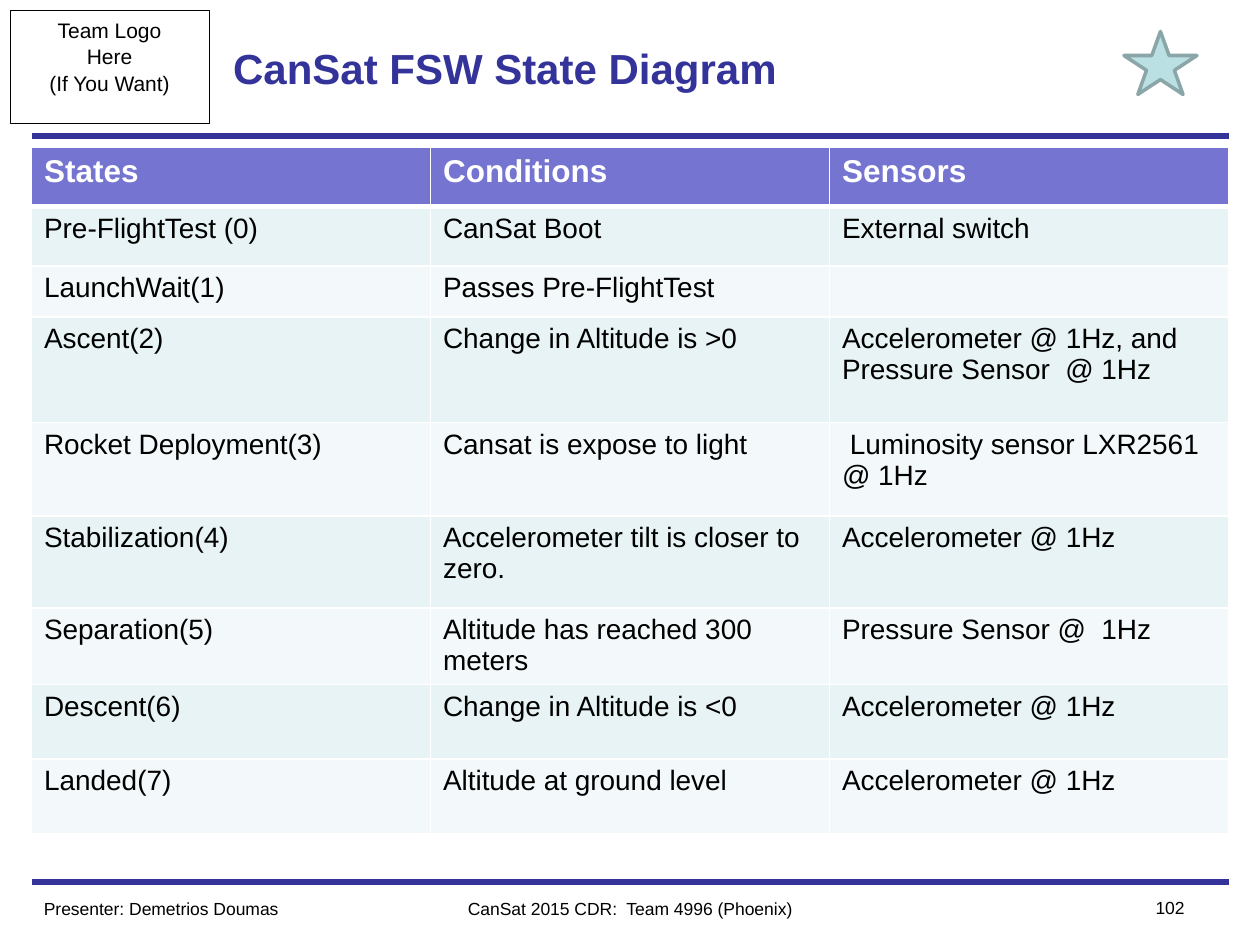
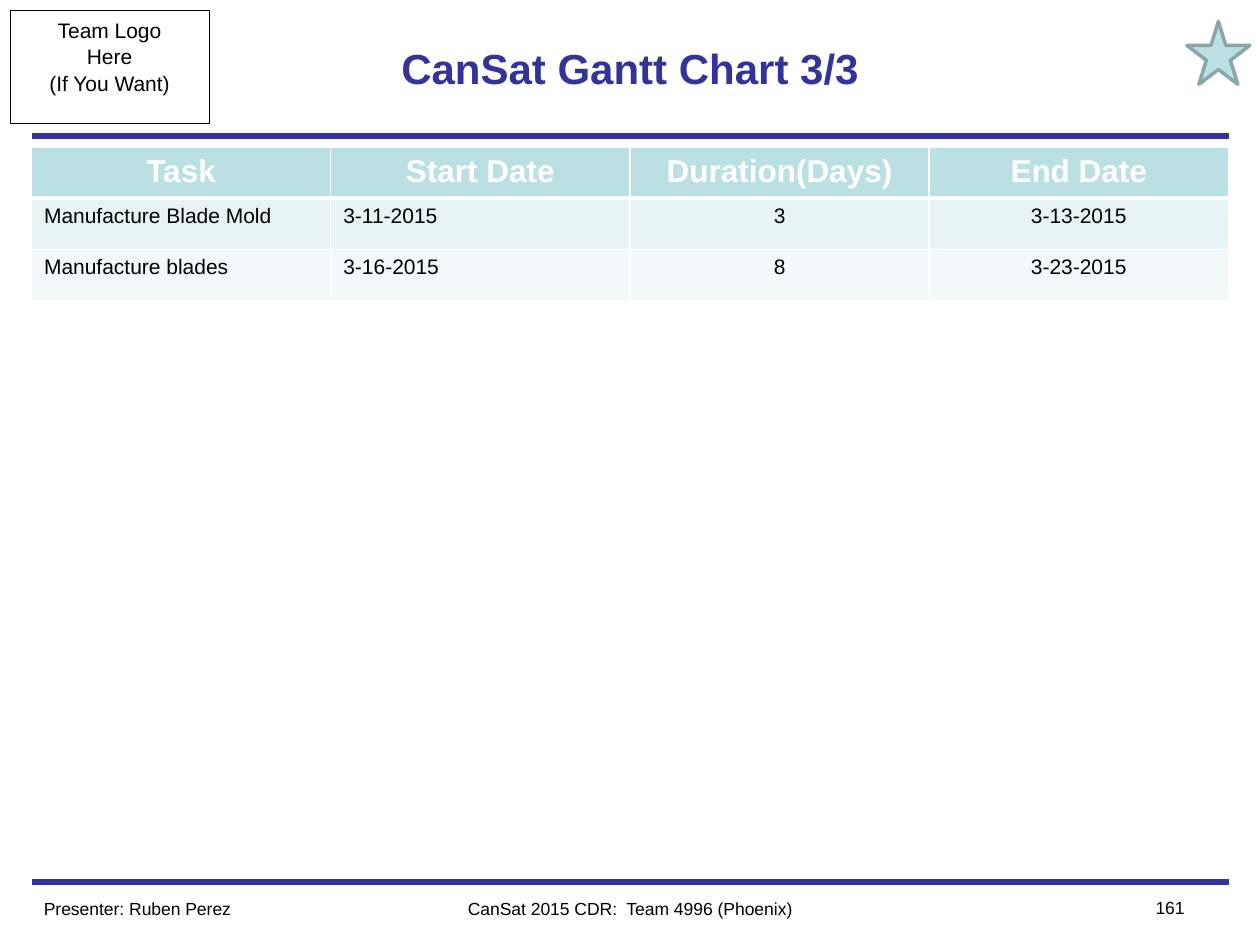
from dataclasses import dataclass
from lxml import etree
from pptx import Presentation
from pptx.dml.color import RGBColor
from pptx.enum.shapes import MSO_CONNECTOR as CONN, MSO_SHAPE as SHAPE
from pptx.enum.text import MSO_ANCHOR as ANCHOR, MSO_AUTO_SIZE as AUTO, PP_ALIGN as AL
from pptx.oxml.ns import qn
from pptx.util import Inches, Pt


@dataclass(frozen=True)
class Theme:
    font: str = "Arial"
    navy: str = "333399"
    violet: str = "7575D1"
    aqua: str = "BBE0E3"
    aqua_edge: str = "8AA6A8"
    bands: tuple = ("E7F3F4", "F3F9FA")
    black: str = "000000"
    white: str = "FFFFFF"
    title: int = 24
    head: int = 18
    body: int = 16
    small: int = 12
    footer: int = 10


LEFT, RIGHT = 0.25, 9.75
TABLE_TOP = 1.17


class Deck:
    def __init__(self, theme):
        self.t = theme
        self.prs = Presentation()
        self.prs.slide_width, self.prs.slide_height = Inches(10), Inches(7.5)
        self.s = None

    def fill_text(self, tf, text, size, color=None, bold=False, align=AL.LEFT,
                  anchor=ANCHOR.TOP, spacing=None):
        frame_format = {"word_wrap": True, "auto_size": AUTO.NONE, "vertical_anchor": anchor}
        for name, value in frame_format.items():
            setattr(tf, name, value)
        font_format = {"name": self.t.font, "size": Pt(size), "bold": bold}
        for i, line in enumerate(text.split("\n")):
            p = tf.paragraphs[0] if i == 0 else tf.add_paragraph()
            p.alignment = align
            if spacing:
                p.line_spacing = spacing
            r = p.add_run()
            r.text = line
            for name, value in font_format.items():
                setattr(r.font, name, value)
            r.font.color.rgb = RGBColor.from_string(color or self.t.black)

    def text(self, box, text, size, **kw):
        tb = self.s.shapes.add_textbox(*map(Inches, box))
        self.fill_text(tb.text_frame, text, size, **kw)

    def shape(self, kind, box, fill, line, width):
        sp = self.s.shapes.add_shape(kind, *map(Inches, box))
        sp.shadow.inherit = False
        if fill:
            sp.fill.solid()
            sp.fill.fore_color.rgb = RGBColor.from_string(fill)
        else:
            sp.fill.background()
        sp.line.color.rgb = RGBColor.from_string(line)
        sp.line.width = Pt(width)
        return sp

    def rule(self, y):
        ends = map(Inches, (LEFT, y, RIGHT, y))
        cx = self.s.shapes.add_connector(CONN.STRAIGHT, *ends)
        cx.line.color.rgb = RGBColor.from_string(self.t.navy)
        cx.line.width = Pt(3)
        etree.SubElement(cx._element.spPr, qn("a:effectLst"))

    def star(self, box):
        self.shape(SHAPE.STAR_5_POINT, box, self.t.aqua, self.t.aqua_edge, 2)

    def slide(self, title, presenter, number, title_align=AL.LEFT):
        t = self.t
        self.s = self.prs.slides.add_slide(self.prs.slide_layouts[5])
        for y in (7, 1.08):
            self.rule(y)
        logo = self.shape(SHAPE.RECTANGLE, (0.08, 0.08, 1.58, 0.9), None, t.black, 0.5)
        self.fill_text(logo.text_frame, "Team Logo\nHere\n(If You Want)", t.small,
                       align=AL.CENTER, spacing=1.05)
        ph = self.s.shapes.title
        place = {"left": 1.75, "top": 0.08, "width": 6.5, "height": 0.92}
        for name, value in place.items():
            setattr(ph, name, Inches(value))
        self.fill_text(ph.text_frame, title, t.title, t.navy, True, title_align, ANCHOR.MIDDLE)
        footers = (
            ((LEFT, 7.08, 2.5, 0.27), f"Presenter: {presenter}", AL.LEFT),
            ((3, 7.08, 4, 0.27), "CanSat 2015 CDR:  Team 4996 (Phoenix)", AL.CENTER),
            ((8.75, 7.07, 0.75, 0.27), str(number), AL.RIGHT),
        )
        for box, text, align in footers:
            self.text(box, text, t.footer, align=align)

    def borders(self, cell, top, bottom):
        tc_pr = cell._tc.get_or_add_tcPr()
        widths = {"lnL": 1, "lnR": 1, "lnT": top, "lnB": bottom}
        for i, (side, width) in enumerate(widths.items()):
            ln = etree.Element(qn(f"a:{side}"), w=str(int(Pt(width))))
            fill = etree.SubElement(ln, qn("a:solidFill"))
            etree.SubElement(fill, qn("a:srgbClr"), val=self.t.white)
            tc_pr.insert(i, ln)

    def table(self, rows, heights, head_fill, body_size, head_align, body_aligns):
        t = self.t
        n_cols = len(rows[0])
        box = (LEFT, TABLE_TOP, RIGHT - LEFT, sum(heights))
        tbl = self.s.shapes.add_table(len(rows), n_cols, *map(Inches, box)).table
        tbl.first_row = tbl.horz_banding = False
        for col in tbl.columns:
            col.width = Inches((RIGHT - LEFT) / n_cols)
        for i, (row, height) in enumerate(zip(rows, heights)):
            tbl.rows[i].height = Inches(height)
            head = i == 0
            for j, value in enumerate(row):
                cell = tbl.cell(i, j)
                cell.fill.solid()
                fill = head_fill if head else t.bands[(i - 1) % 2]
                cell.fill.fore_color.rgb = RGBColor.from_string(fill)
                self.borders(cell, 3 if i == 1 else 1, 3 if head else 1)
                if value:
                    self.fill_text(cell.text_frame, value, t.head if head else body_size,
                                   t.white if head else t.black, head,
                                   head_align if head else body_aligns[j])


STATES = (
    ("States", "Conditions", "Sensors"),
    ("Pre-FlightTest (0)", "CanSat Boot", "External switch"),
    ("LaunchWait(1)", "Passes Pre-FlightTest", ""),
    ("Ascent(2)", "Change in Altitude is >0", "Accelerometer @ 1Hz, and Pressure Sensor  @ 1Hz"),
    ("Rocket Deployment(3)", "Cansat is expose to light", " Luminosity sensor LXR2561\n@ 1Hz"),
    ("Stabilization(4)", "Accelerometer tilt is closer to zero.", "Accelerometer @ 1Hz"),
    ("Separation(5)", "Altitude has reached 300 meters", "Pressure Sensor @  1Hz"),
    ("Descent(6)", "Change in Altitude is <0", "Accelerometer @ 1Hz"),
    ("Landed(7)", "Altitude at ground level", "Accelerometer @ 1Hz"),
)
STATE_HEIGHTS = (0.47, 0.47, 0.39, 0.84, 0.74, 0.73, 0.61, 0.59, 0.59)

TASKS = (
    ("Task", "Start Date", "Duration(Days)", "End Date"),
    ("Manufacture Blade Mold", "3-11-2015", "3", "3-13-2015"),
    ("Manufacture blades", "3-16-2015", "8", "3-23-2015"),
)


def main():
    theme = Theme()
    deck = Deck(theme)

    deck.slide("CanSat FSW State Diagram", "Demetrios Doumas", 102)
    deck.table(STATES, STATE_HEIGHTS, theme.violet, theme.body, AL.LEFT, (AL.LEFT,) * 3)
    deck.star((8.92, 0.25, 0.58, 0.5))

    deck.slide("CanSat Gantt Chart 3/3", "Ruben Perez", 161, AL.CENTER)
    deck.star((9.42, 0.17, 0.5, 0.5))
    deck.table(TASKS, (0.4, 0.41, 0.41), theme.aqua, theme.small, AL.CENTER,
               (AL.LEFT, AL.LEFT, AL.CENTER, AL.CENTER))

    deck.prs.save("out.pptx")


if __name__ == "__main__":
    main()
